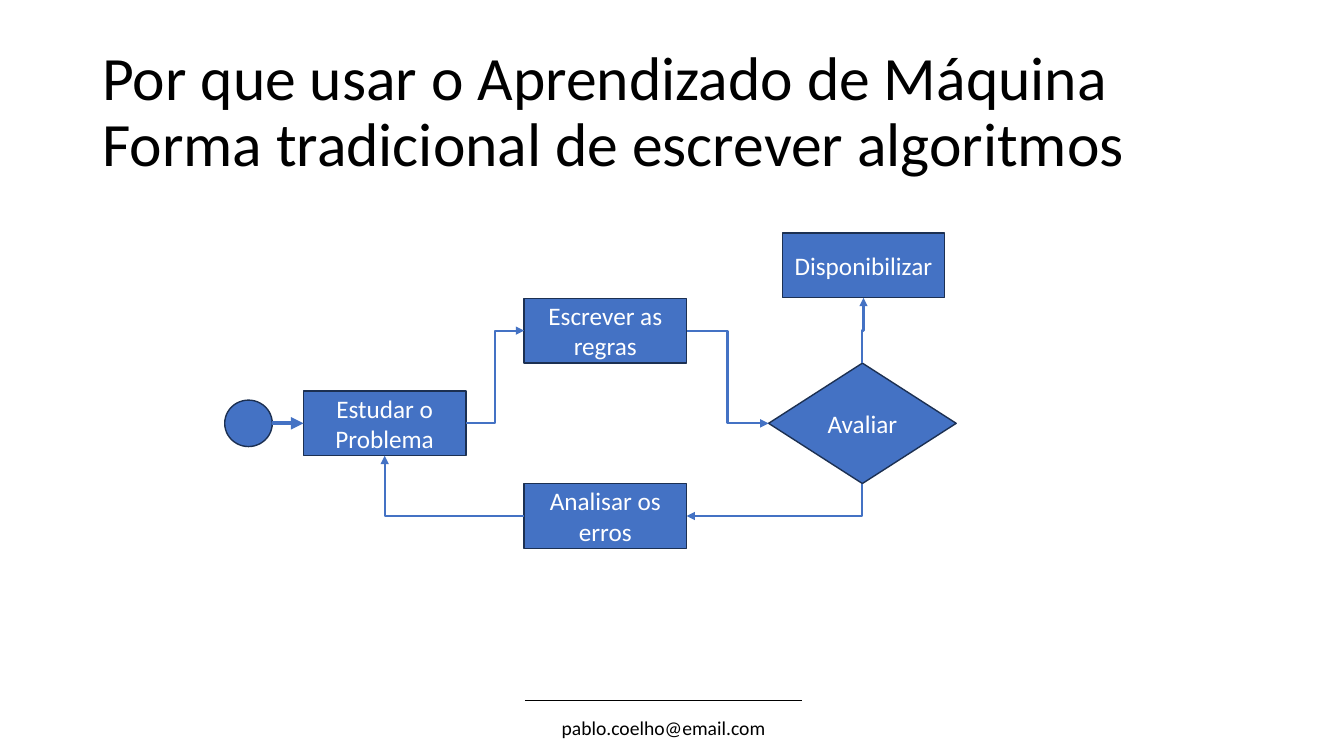
"""Builds the slide on the traditional way of writing algorithms."""
import math

from lxml import etree
from pptx import Presentation
from pptx.dml.color import RGBColor
from pptx.enum import shapes, text
from pptx.oxml import ns
from pptx.util import Pt

BLUE = RGBColor(0x44, 0x72, 0xC4)
NAVY = RGBColor(0x1C, 0x30, 0x52)
BLACK = RGBColor(0, 0, 0)
WHITE = RGBColor(0xFF, 0xFF, 0xFF)
FONT = "Calibri"
STEP_SIZE = (116, 46.2)
SIDES = {"left": (-0.5, 0), "right": (0.5, 0), "top": (0, -0.5), "bottom": (0, 0.5)}


def add_run(paragraph, words, size, color):
    """Append one formatted run to a paragraph."""
    run = paragraph.add_run()
    run.text = words
    run.font.name = FONT
    run.font.size = Pt(size)
    run.font.color.rgb = color


def add_text(slide, box, lines, size, align, anchor):
    """Add a wrapped text box whose lines share one paragraph."""
    shape = slide.shapes.add_textbox(*map(Pt, box))
    frame = shape.text_frame
    frame.word_wrap = True
    frame.vertical_anchor = anchor
    paragraph = frame.paragraphs[0]
    paragraph.alignment = align
    for index, line in enumerate(lines):
        if index:
            paragraph.add_line_break()
        add_run(paragraph, line, size, BLACK)
    return paragraph


def add_node(slide, kind, center, size=STEP_SIZE, label=""):
    """Add a flowchart node around its center."""
    left, top = (middle - length / 2 for middle, length in zip(center, size))
    shape = slide.shapes.add_shape(kind, Pt(left), Pt(top), *map(Pt, size))
    shape.shadow.inherit = False
    shape.fill.solid()
    shape.fill.fore_color.rgb = BLUE
    shape.line.color.rgb = NAVY
    shape.line.width = Pt(1)
    if label:
        frame = shape.text_frame
        frame.word_wrap = True
        frame.vertical_anchor = text.MSO_ANCHOR.MIDDLE
        paragraph = frame.paragraphs[0]
        paragraph.alignment = text.PP_ALIGN.CENTER
        add_run(paragraph, label, 18, WHITE)
    return shape


def site(shape, side):
    """Return the point in the middle of one side of a shape."""
    across, down = SIDES[side]
    return (shape.left.pt + shape.width.pt * (0.5 + across),
            shape.top.pt + shape.height.pt * (0.5 + down))


def add_line(slide, kind, begin, end, color, width):
    """Add a connector without shadow."""
    line = slide.shapes.add_connector(kind, *map(Pt, begin + end))
    line.line.color.rgb = color
    line.line.width = Pt(width)
    etree.SubElement(line._element.spPr, ns.qn("a:effectLst"))
    return line


def add_arrow(slide, kind, begin, end, width=1.5, turn=0, preset=None):
    """Add an arrow whose route is turned clockwise by the given degrees."""
    center = [(a + b) / 2 for a, b in zip(begin, end)]
    cos, sin = (round(f(math.radians(turn))) for f in (math.cos, math.sin))

    def unturn(point):
        """Rotate a point back around the center."""
        x, y = point[0] - center[0], point[1] - center[1]
        return center[0] + x * cos + y * sin, center[1] + y * cos - x * sin

    arrow = add_line(slide, kind, unturn(begin), unturn(end), BLUE, width)
    properties = arrow._element.spPr
    etree.SubElement(properties.find(ns.qn("a:ln")), ns.qn("a:tailEnd"), type="triangle")
    if turn:
        properties.find(ns.qn("a:xfrm")).set("rot", str(turn * 60000))
    if preset:
        properties.find(ns.qn("a:prstGeom")).set("prst", preset)


def add_flowchart(slide):
    """Draw the nodes and the arrows between them."""
    kinds = shapes.MSO_SHAPE
    start = add_node(slide, kinds.OVAL, (177.5, 302.4), (34, 33.2))
    study = add_node(slide, kinds.RECTANGLE, (274.8, 302.4), label="Estudar o Problema")
    write = add_node(slide, kinds.RECTANGLE, (432.4, 236.2), label="Escrever as regras")
    analyse = add_node(slide, kinds.RECTANGLE, (432.4, 368.6), label="Analisar os erros")
    assess = add_node(slide, kinds.DIAMOND, (616, 302.4), (134, 86), "Avaliar")
    release = add_node(slide, kinds.RECTANGLE, (616.8, 189.6), label="Disponibilizar")

    straight, elbow = shapes.MSO_CONNECTOR.STRAIGHT, shapes.MSO_CONNECTOR.ELBOW
    corner = "bentConnector2"
    add_arrow(slide, straight, site(start, "right"), site(study, "left"), width=3)
    add_arrow(slide, elbow, site(study, "right"), site(write, "left"))
    add_arrow(slide, elbow, site(analyse, "left"), site(study, "bottom"), turn=180, preset=corner)
    add_arrow(slide, elbow, site(assess, "bottom"), site(analyse, "right"), turn=90, preset=corner)
    add_arrow(slide, elbow, site(write, "right"), site(assess, "left"))
    add_arrow(slide, elbow, site(assess, "top"), site(release, "bottom"), turn=270)


def main():
    """Build and save the presentation."""
    presentation = Presentation()
    presentation.slide_width, presentation.slide_height = Pt(960), Pt(540)
    slide = presentation.slides.add_slide(presentation.slide_layouts[6])
    add_line(slide, shapes.MSO_CONNECTOR.STRAIGHT, (375, 500.4), (572.6, 500.4), BLACK, 0.75)
    add_text(slide, (375, 507.6, 198, 24.5), ["pablo.coelho@email.com"], 14,
             text.PP_ALIGN.CENTER, text.MSO_ANCHOR.TOP)
    title = add_text(slide, (66, 28.8, 828, 104.4),
                     ["Por que usar o Aprendizado de Máquina",
                      "Forma tradicional de escrever algoritmos"], 44,
                     text.PP_ALIGN.LEFT, text.MSO_ANCHOR.MIDDLE)
    title.line_spacing = 0.9
    add_flowchart(slide)
    presentation.save("out.pptx")


if __name__ == "__main__":
    main()
